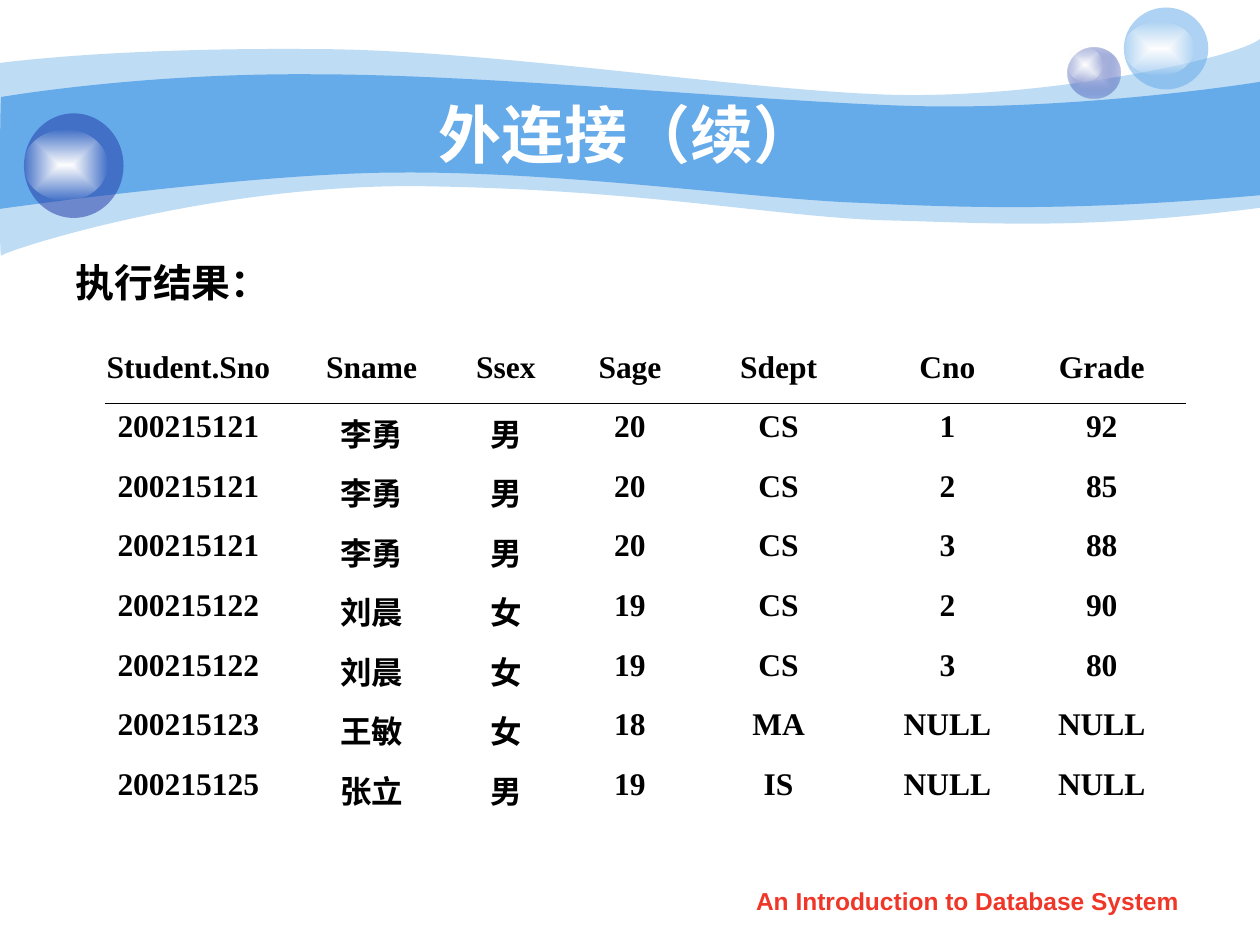
from lxml import etree
from pptx import Presentation
from pptx.dml.color import RGBColor
from pptx.enum.shapes import MSO_CONNECTOR, MSO_SHAPE
from pptx.enum.text import MSO_ANCHOR, PP_ALIGN
from pptx.oxml import parse_xml
from pptx.oxml.ns import nsdecls, qn
from pptx.util import Inches, Pt

WHITE = RGBColor(0xFF, 0xFF, 0xFF)
BLACK = RGBColor(0x00, 0x00, 0x00)
SKY = RGBColor(0x65, 0xAA, 0xE9)
NAVY = RGBColor(0x23, 0x3D, 0xA9)
LAVENDER = RGBColor(0xC7, 0xCE, 0xE9)
RED = RGBColor(0xF0, 0x36, 0x28)

NO_STYLE = "{2D5ABB26-0587-4C30-8999-92F81FD0307C}"
COLUMN_WIDTHS = [1.81, 1.1, 1.03, 0.94, 1.42, 1.26, 1.19]
STUDENT_GRADES = [
    ["Student.Sno", "Sname", "Ssex", "Sage", "Sdept", "Cno", "Grade"],
    ["200215121", "李勇", "男", "20", "CS", "1", "92"],
    ["200215121", "李勇", "男", "20", "CS", "2", "85"],
    ["200215121", "李勇", "男", "20", "CS", "3", "88"],
    ["200215122", "刘晨", "女", "19", "CS", "2", "90"],
    ["200215122", "刘晨", "女", "19", "CS", "3", "80"],
    ["200215123", "王敏", "女", "18", "MA", "NULL", "NULL"],
    ["200215125", "张立", "男", "19", "IS", "NULL", "NULL"],
]

OUTER_WAVE_TOP = [(0, 0.5), (0.24, 0.47), (1.07, 0.38), (2.47, 0.39),
                  (3.86, 0.39), (5.75, 0.7), (6.99, 0.75),
                  (8.22, 0.8), (9.8, 0.47), (10, 0.31)]
OUTER_WAVE_BOTTOM = [(10, 1.65), (8.58, 1.83), (7.87, 1.77), (7.05, 1.75),
                     (6.22, 1.73), (5.15, 1.51), (3.43, 1.48),
                     (1.72, 1.44), (0.04, 1.99), (0.01, 2.03),
                     (-0.01, 2.08), (0, 0.75), (0, 0.5)]
INNER_WAVE_TOP = [(0.01, 0.77), (0.02, 0.77), (1.1, 0.58), (2.48, 0.59),
                  (3.86, 0.59), (5.95, 0.8), (7.18, 0.84),
                  (8.41, 0.88), (9.76, 0.69), (10, 0.65)]
INNER_WAVE_BOTTOM = [(10, 1.55), (8.53, 1.68), (7.65, 1.65), (6.82, 1.61),
                     (5.99, 1.58), (4.47, 1.36), (3.17, 1.37),
                     (2.03, 1.37), (-0.02, 1.66), (-0.01, 1.66),
                     (0, 1.66), (0, 0.77), (0.01, 0.77)]


def bend_lines(lines):
    for start in range(0, len(lines), 3):
        curve = etree.Element(qn("a:cubicBezTo"))
        lines[start].addprevious(curve)
        for line in lines[start:start + 3]:
            curve.append(line[0])
            line.getparent().remove(line)


def finish_solid(shape, color, opacity=100):
    shape.shadow.inherit = False
    shape.line.fill.background()
    shape.fill.solid()
    shape.fill.fore_color.rgb = color
    if opacity < 100:
        srgb = shape._element.spPr.find(qn("a:solidFill"))[0]
        etree.SubElement(srgb, qn("a:alpha"), val=str(opacity * 1000))


def finish_glow(shape, center, edge, edge_opacity):
    shape.shadow.inherit = False
    shape.line.fill.background()
    shape.fill.background()
    no_fill = shape._element.spPr.find(qn("a:noFill"))
    glow = parse_xml(
        f'<a:gradFill {nsdecls("a")} rotWithShape="1"><a:gsLst>'
        f'<a:gs pos="0"><a:srgbClr val="{center}"/></a:gs>'
        f'<a:gs pos="100000"><a:srgbClr val="{edge}">'
        f'<a:alpha val="{edge_opacity * 1000}"/></a:srgbClr></a:gs></a:gsLst>'
        '<a:path path="rect"><a:fillToRect l="50000" t="50000" r="50000" b="50000"/></a:path>'
        '</a:gradFill>')
    no_fill.getparent().replace(no_fill, glow)


def add_wave(slide, top, bottom, opacity):
    outline = [(round(x * 100), round(y * 100)) for x, y in top + bottom]
    builder = slide.shapes.build_freeform(*outline[0], scale=Inches(0.01))
    builder.add_line_segments(outline[1:], close=True)
    wave = builder.convert_to_shape()
    lines = list(wave._element.iter(qn("a:lnTo")))
    bend_lines(lines[:len(top) - 1])
    bend_lines(lines[len(top):])
    finish_solid(wave, SKY, opacity)


def add_bubble(slide, ball_box, shine_box):
    bubble = slide.shapes.add_group_shape()
    ball, shine = (bubble.shapes.add_shape(MSO_SHAPE.OVAL, *map(Inches, box))
                   for box in (ball_box, shine_box))
    finish_glow(shine, WHITE, WHITE, 0)
    return ball


def add_banner(slide):
    add_wave(slide, OUTER_WAVE_TOP, OUTER_WAVE_BOTTOM, 41)
    add_wave(slide, INNER_WAVE_TOP, INNER_WAVE_BOTTOM, 100)
    small = add_bubble(slide, (8.47, 0.38, 0.42, 0.4), (8.47, 0.38, 0.28, 0.27))
    finish_glow(small, LAVENDER, NAVY, 31)
    light = add_bubble(slide, (8.92, 0.06, 0.67, 0.65), (8.92, 0.17, 0.56, 0.43))
    finish_solid(light, SKY, 53)
    dark = add_bubble(slide, (0.19, 0.9, 0.79, 0.83), (0.19, 1.03, 0.66, 0.56))
    finish_solid(dark, NAVY, 53)


def write(frame, text, size, color, align=PP_ALIGN.CENTER, font="Arial", hanging=False):
    frame.word_wrap = True
    frame.text = text
    paragraph = frame.paragraphs[0]
    paragraph.alignment = align
    paragraph.font.name = font
    paragraph.font.size = Pt(size)
    paragraph.font.bold = True
    paragraph.font.color.rgb = color
    if hanging:
        properties = paragraph._p.get_or_add_pPr()
        properties.set("marL", str(Inches(0.38)))
        properties.set("indent", str(Inches(-0.38)))
    return paragraph


def place_title(slide, left, top, width, height):
    title = slide.shapes.title
    title.left, title.top, title.width, title.height = map(Inches, (left, top, width, height))
    title.text_frame.vertical_anchor = MSO_ANCHOR.MIDDLE
    write(title.text_frame, "外连接（续） ", 36, WHITE)
    slide.shapes._spTree.append(title._element)


def add_heading(slide, *box):
    heading = slide.shapes.add_textbox(*map(Inches, box))
    paragraph = write(heading.text_frame, "执行结果： ", 22.2, BLACK,
                      PP_ALIGN.JUSTIFY, hanging=True)
    paragraph.space_before = Pt(6)


def add_footer(slide, *box):
    footer = slide.shapes.add_textbox(*map(Inches, box))
    write(footer.text_frame, "An Introduction to Database System", 14, RED)


def add_result_table(slide, left, top, width, height):
    table = slide.shapes.add_table(len(STUDENT_GRADES), len(COLUMN_WIDTHS),
                                   *map(Inches, (left, top, width, height))).table
    table.first_row = table.horz_banding = False
    table._tbl.tblPr.find(qn("a:tableStyleId")).text = NO_STYLE
    for column, column_width in zip(table.columns, COLUMN_WIDTHS):
        column.width = Inches(column_width)
    for row, values in zip(table.rows, STUDENT_GRADES):
        for cell, value in zip(row.cells, values):
            cell.fill.background()
            write(cell.text_frame, value, 18, BLACK, font="Times New Roman", hanging=True)
    rule_y = Inches(top + height / len(STUDENT_GRADES))
    rule = slide.shapes.add_connector(MSO_CONNECTOR.STRAIGHT, Inches(left + 0.24), rule_y,
                                      Inches(left + 8.82), rule_y)
    rule.line.color.rgb = BLACK
    rule.line.width = Pt(0.75)
    etree.SubElement(rule._element.spPr, qn("a:effectLst"))


def main():
    deck = Presentation()
    deck.slide_width, deck.slide_height = Inches(10), Inches(7.5)
    slide = deck.slides.add_slide(deck.slide_layouts[5])
    add_banner(slide)
    add_footer(slide, 5.71, 6.98, 3.94, 0.35)
    place_title(slide, 1, 0.75, 8.08, 0.62)
    add_heading(slide, 0.5, 2, 4.42, 0.49)
    add_result_table(slide, 0.59, 2.73, 8.75, 3.78)
    deck.save("out.pptx")


if __name__ == "__main__":
    main()
